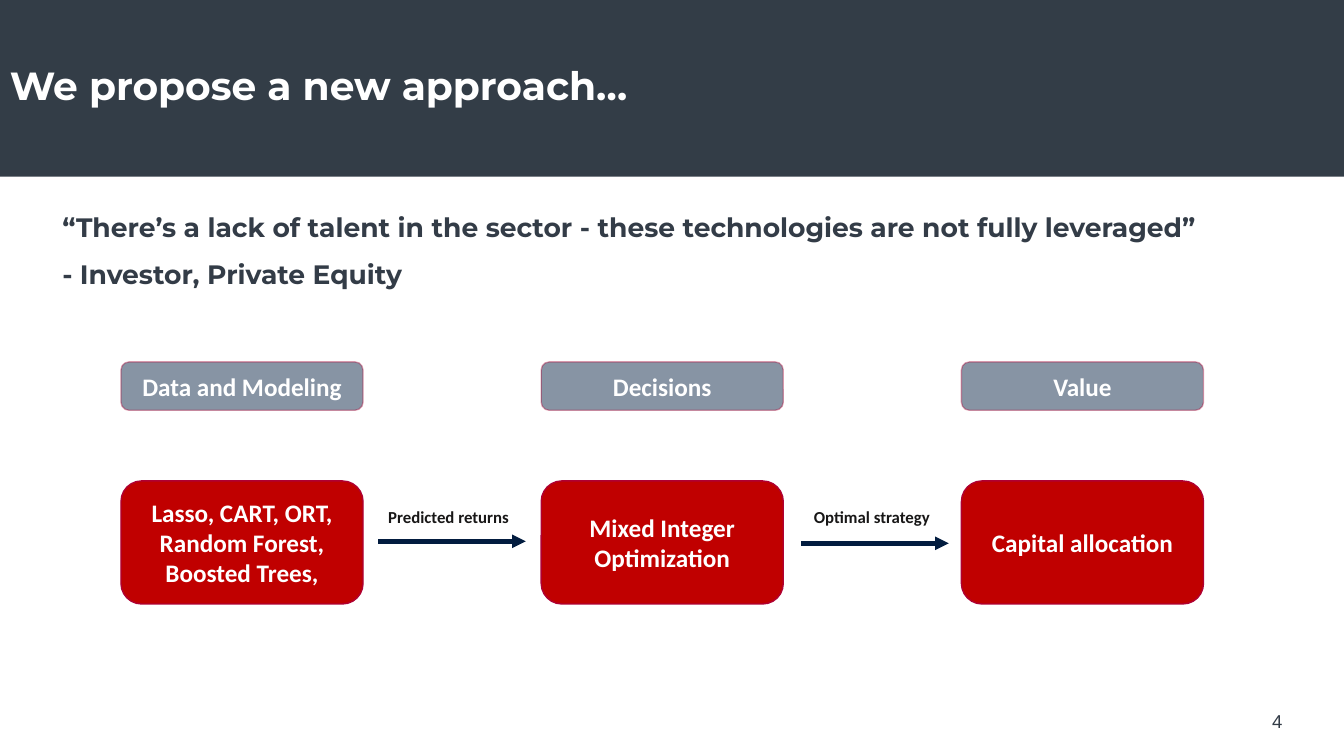
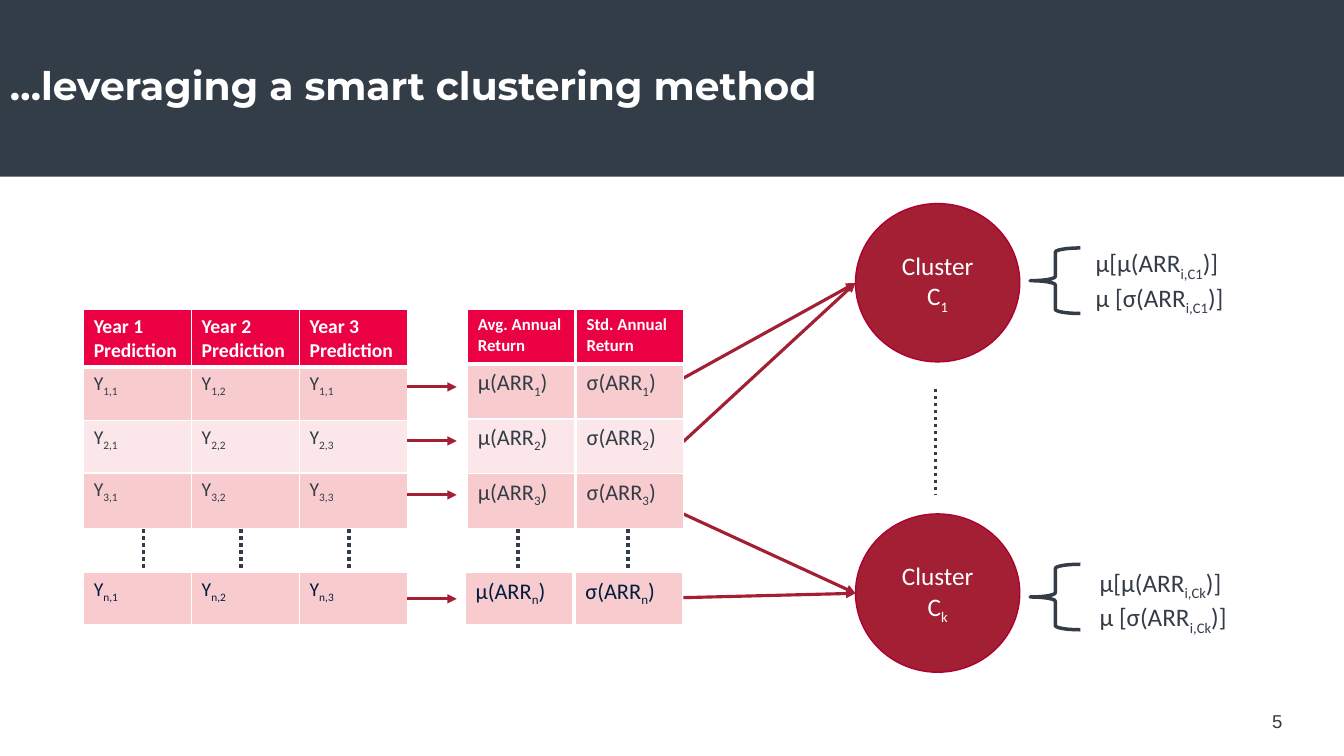
import lxml.etree
import pptx
import pptx.dml.color
import pptx.enum.dml
import pptx.enum.shapes
import pptx.enum.text
import pptx.oxml
import pptx.oxml.ns
import pptx.util

Cm, Pt = pptx.util.Cm, pptx.util.Pt
ALIGN = pptx.enum.text.PP_ALIGN
MIDDLE = pptx.enum.text.MSO_ANCHOR.MIDDLE
TOP = pptx.enum.text.MSO_ANCHOR.TOP
SHAPE = pptx.enum.shapes.MSO_SHAPE

COLOURS = {
    "band": "333D47", "text": "333C47", "white": "FFFFFF", "navy": "021C3F",
    "label": "181717", "box": "C00000", "outline": "AF0032", "cluster": "A31F34",
    "header": "EC0044", "row_dark": "F8CCCF", "row_light": "FBE7E9",
}
WIDTH, HEIGHT = 33.87, 19.05

# Content of slide 4 (in any text, "|" switches subscript on and off)
APPROACH_TITLE = "We propose a new approach…"
QUOTE = ("“There’s a lack of talent in the sector - these technologies "
         "are not fully leveraged”\n- Investor, Private Equity")
STAGES = [
    ("Data and Modeling", "Lasso, CART, ORT, Random Forest, Boosted Trees,"),
    ("Decisions", "Mixed Integer Optimization"),
    ("Value", "Capital allocation"),
]
STAGE_LEFT, STAGE_PITCH, STAGE_WIDTH = 3.05, 10.59, 6.1
# label, label left, arrow left, arrow height
FLOWS = [("Predicted returns", 9.45, 9.53, 13.64),
         ("Optimal strategy", 20.12, 20.19, 13.69)]

# Content of slide 5
CLUSTER_TITLE = "…leveraging a smart clustering method"
YEARS = ["Year 1\nPrediction", "Year 2\nPrediction", "Year 3\nPrediction"]
PREDICTIONS = [["Y|1,1", "Y|1,2", "Y|1,1"],
               ["Y|2,1", "Y|2,2", "Y|2,3"],
               ["Y|3,1", "Y|3,2", "Y|3,3"]]
LAST_PREDICTIONS = ["Y|n,1", "Y|n,2", "Y|n,3"]
# heading, symbol, left of main table, left of last row
STATISTICS = [("Avg. Annual Return", "μ", 11.79, 11.73),
              ("Std. Annual Return", "σ", 14.53, 14.5)]
# name, top, brace top, formula left, formula top, heights where arrows start
CLUSTERS = [("1", 5.13, 6.25, 27.36, 6.12, [9.53, 11.13]),
            ("k", 12.95, 14.22, 27.46, 14.17, [12.95, 15.06])]
ROW_ARROWS = [9.75, 11.11, 12.47, 15.09]
DOTTED_COLUMNS = [3.61, 6.07, 8.79, 13.06, 15.82]
TABLE_TOP, LAST_ROW_TOP, LAST_ROW_HEIGHT = 7.8, 14.43, 1.35
PREDICTION_LEFT, PREDICTION_WIDTH, STATISTIC_WIDTH = 2.11, 2.72, 2.69


def rgb(name):
    return pptx.dml.color.RGBColor.from_string(COLOURS[name])


def write(frame, text, size, colour, font="Calibri", bold=False,
          align=ALIGN.LEFT, anchor=TOP, line_spacing=None, gap=0):
    """Fill a text frame; newlines split paragraphs, bars toggle subscript."""
    frame.word_wrap = True
    frame.vertical_anchor = anchor
    for index, line in enumerate(text.split("\n")):
        paragraph = frame.add_paragraph() if index else frame.paragraphs[0]
        paragraph.alignment = align
        if line_spacing:
            paragraph.line_spacing = line_spacing
        if index and gap:
            paragraph.space_before = Pt(gap)
        paragraph.font.size = Pt(size)
        paragraph.font.name = font
        paragraph.font.bold = bold
        paragraph.font.color.rgb = rgb(colour)
        for part, words in enumerate(line.split("|")):
            run = paragraph.add_run()
            run.text = words
            if part % 2:
                run._r.get_or_add_rPr().set("baseline", "-25000")


def add_text(slide, box, text, size, colour, **style):
    shape = slide.shapes.add_textbox(*map(Cm, box))
    write(shape.text_frame, text, size, colour, **style)


def set_opacity(shape, fill_percent, line_percent):
    colors = shape._element.spPr.findall(".//" + pptx.oxml.ns.qn("a:srgbClr"))
    for color, percent in zip(colors, (fill_percent, line_percent)):
        lxml.etree.SubElement(color, pptx.oxml.ns.qn("a:alpha"),
                              val=str(percent * 1000))


def add_box(slide, kind, box, fill=None, line=None, line_width=1):
    shape = slide.shapes.add_shape(kind, *map(Cm, box))
    shape.shadow.inherit = False
    if fill:
        shape.fill.solid()
        shape.fill.fore_color.rgb = rgb(fill)
    else:
        shape.fill.background()
    if line:
        shape.line.color.rgb = rgb(line)
        shape.line.width = Pt(line_width)
    else:
        shape.line.fill.background()
    return shape


def add_line(slide, start, end, colour, width, arrow=True):
    """Draw an arrow, or a dotted line when arrow is False."""
    line = slide.shapes.add_connector(
        pptx.enum.shapes.MSO_CONNECTOR.STRAIGHT, *map(Cm, start + end))
    line.line.color.rgb = rgb(colour)
    line.line.width = Pt(width)
    if arrow:
        lxml.etree.SubElement(line.line._get_or_add_ln(),
                              pptx.oxml.ns.qn("a:tailEnd"), type="triangle")
    else:
        line.line.dash_style = pptx.enum.dml.MSO_LINE.ROUND_DOT
    lxml.etree.SubElement(line._element.spPr, pptx.oxml.ns.qn("a:effectLst"))


def set_borders(cell, bottom):
    properties = cell._tc.get_or_add_tcPr()
    for side, width in (("L", 1), ("R", 1), ("T", 1), ("B", bottom)):
        border = lxml.etree.SubElement(properties, pptx.oxml.ns.qn("a:ln" + side),
                                       w=str(int(Pt(width))))
        fill = lxml.etree.SubElement(border, pptx.oxml.ns.qn("a:solidFill"))
        lxml.etree.SubElement(fill, pptx.oxml.ns.qn("a:srgbClr"), val=COLOURS["white"])


def add_grid(slide, left, top, column_width, heights, rows, size,
             header_size=None, colour="text"):
    """Add a table; header_size marks the first row as a header."""
    count = len(rows[0])
    table = slide.shapes.add_table(
        len(rows), count, Cm(left), Cm(top),
        Cm(column_width * count), Cm(sum(heights))).table
    table.first_row = header_size is not None
    table.horz_banding = False
    for column in table.columns:
        column.width = Cm(column_width)
    for index, (height, values) in enumerate(zip(heights, rows)):
        table.rows[index].height = Cm(height)
        is_header = header_size is not None and index == 0
        shade = "row_light" if index == 2 else "row_dark"
        for cell, value in zip(table.rows[index].cells, values):
            set_borders(cell, 3 if index == 0 else 1)
            cell.fill.solid()
            cell.fill.fore_color.rgb = rgb("header" if is_header else shade)
            write(cell.text_frame, value, header_size if is_header else size,
                  "white" if is_header else colour, bold=is_header)


def new_slide(presentation, title, number):
    slide = presentation.slides.add_slide(presentation.slide_layouts[6])
    add_box(slide, SHAPE.RECTANGLE, (0, 0, WIDTH, 4.45), "band")
    add_text(slide, (0, 0, WIDTH, 4.4), title, 28, "white", font="Montserrat",
             bold=True, anchor=MIDDLE, line_spacing=0.9)
    add_text(slide, (23.93, 17.65, 8.64, 1.02), str(number), 13.3, "text",
             font="Arial", align=ALIGN.RIGHT, anchor=MIDDLE)
    return slide


def build_approach(presentation):
    slide = new_slide(presentation, APPROACH_TITLE, 4)
    add_text(slide, (1.32, 5.28, 32.26, 3.1), QUOTE, 19, "text",
             font="Montserrat", bold=True, line_spacing=0.9, gap=13.3)
    centred = {"bold": True, "align": ALIGN.CENTER, "anchor": MIDDLE}

    # Stage headings above their methods
    for index, (heading, method) in enumerate(STAGES):
        left = STAGE_LEFT + index * STAGE_PITCH
        tag = add_box(slide, SHAPE.ROUNDED_RECTANGLE,
                      (left, 9.12, STAGE_WIDTH, 1.22), "navy", "outline")
        set_opacity(tag, 47, 36)
        write(tag.text_frame, heading, 18, "white", **centred)
        box = add_box(slide, SHAPE.ROUNDED_RECTANGLE,
                      (left, 12.12, STAGE_WIDTH, 3.1), "box", "outline")
        write(box.text_frame, method, 18, "white", **centred)

    # Labelled arrows between stages
    for label, label_left, arrow_left, height in FLOWS:
        add_line(slide, (arrow_left, height), (arrow_left + 3.72, height), "navy", 3.25)
        add_text(slide, (label_left, 12.42, 3.71, 1.22), label, 12, "label", **centred)


def build_clustering(presentation):
    slide = new_slide(presentation, CLUSTER_TITLE, 5)

    # Arrows into the clusters, then cluster, brace and formulas
    for name, top, brace_top, formula_left, formula_top, starts in CLUSTERS:
        circle = add_box(slide, SHAPE.OVAL, (21.56, top, 4.14, 3.99),
                         "cluster", "outline")
        write(circle.text_frame, f"Cluster C|{name}", 18, "white",
              align=ALIGN.CENTER, anchor=MIDDLE)
        for start in starts:
            add_line(slide, (17.22, start), (21.56, top + 2), "cluster", 2.25)
        add_box(slide, SHAPE.LEFT_BRACE, (25.96, brace_top, 1.27, 1.65),
                line="text", line_width=2.5)
        add_text(slide, (formula_left, formula_top, 6.2, 1.8),
                 f"μ[μ(ARR|i,C{name}|)]\nμ [σ(ARR|i,C{name}|)]", 18, "text")

    # Predictions
    add_grid(slide, PREDICTION_LEFT, TABLE_TOP, PREDICTION_WIDTH,
             [1.45, 1.35, 1.32, 1.4], [YEARS] + PREDICTIONS, 14, 14)
    add_grid(slide, PREDICTION_LEFT, LAST_ROW_TOP, PREDICTION_WIDTH,
             [LAST_ROW_HEIGHT], [LAST_PREDICTIONS], 14, colour="navy")

    # Return statistics
    for heading, symbol, left, last_left in STATISTICS:
        rows = [[heading]] + [[f"{symbol}(ARR|{index}|)"] for index in (1, 2, 3)]
        add_grid(slide, left, TABLE_TOP, STATISTIC_WIDTH, [1.38] * 4, rows, 16, 12)
        add_grid(slide, last_left, LAST_ROW_TOP, STATISTIC_WIDTH,
                 [LAST_ROW_HEIGHT], [[f"{symbol}(ARR|n|)"]], 16, colour="navy")

    # Row arrows and dotted continuations
    for height in ROW_ARROWS:
        add_line(slide, (10.26, height), (11.51, height), "cluster", 2.25)
    for left in DOTTED_COLUMNS:
        add_line(slide, (left, 13.34), (left, 14.35), "text", 2.5, arrow=False)
    add_line(slide, (23.57, 9.8), (23.57, 12.45), "text", 2.5, arrow=False)


def main():
    presentation = pptx.Presentation()
    presentation.slide_width = Cm(WIDTH)
    presentation.slide_height = Cm(HEIGHT)
    build_approach(presentation)
    build_clustering(presentation)
    presentation.save("out.pptx")


if __name__ == "__main__":
    main()
